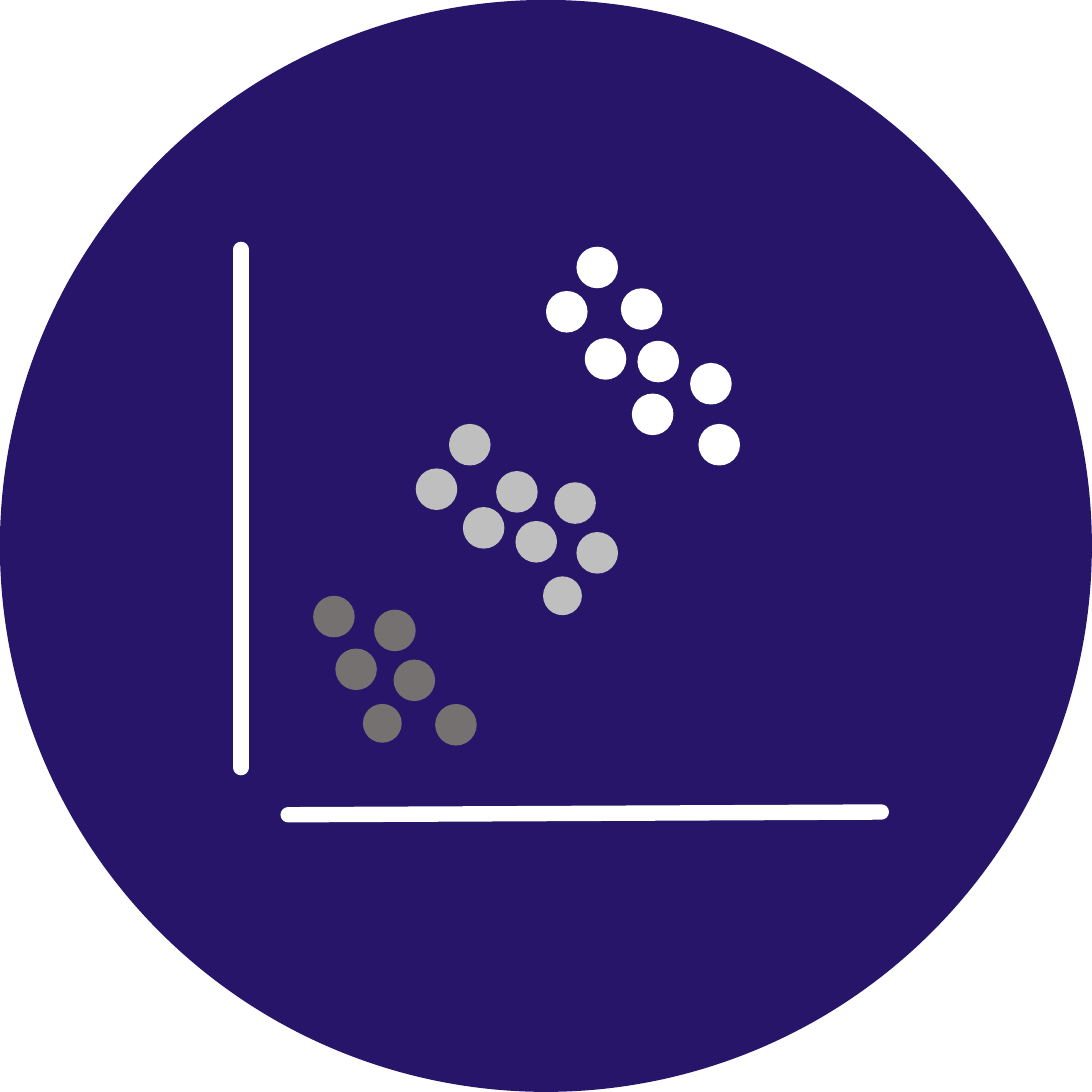
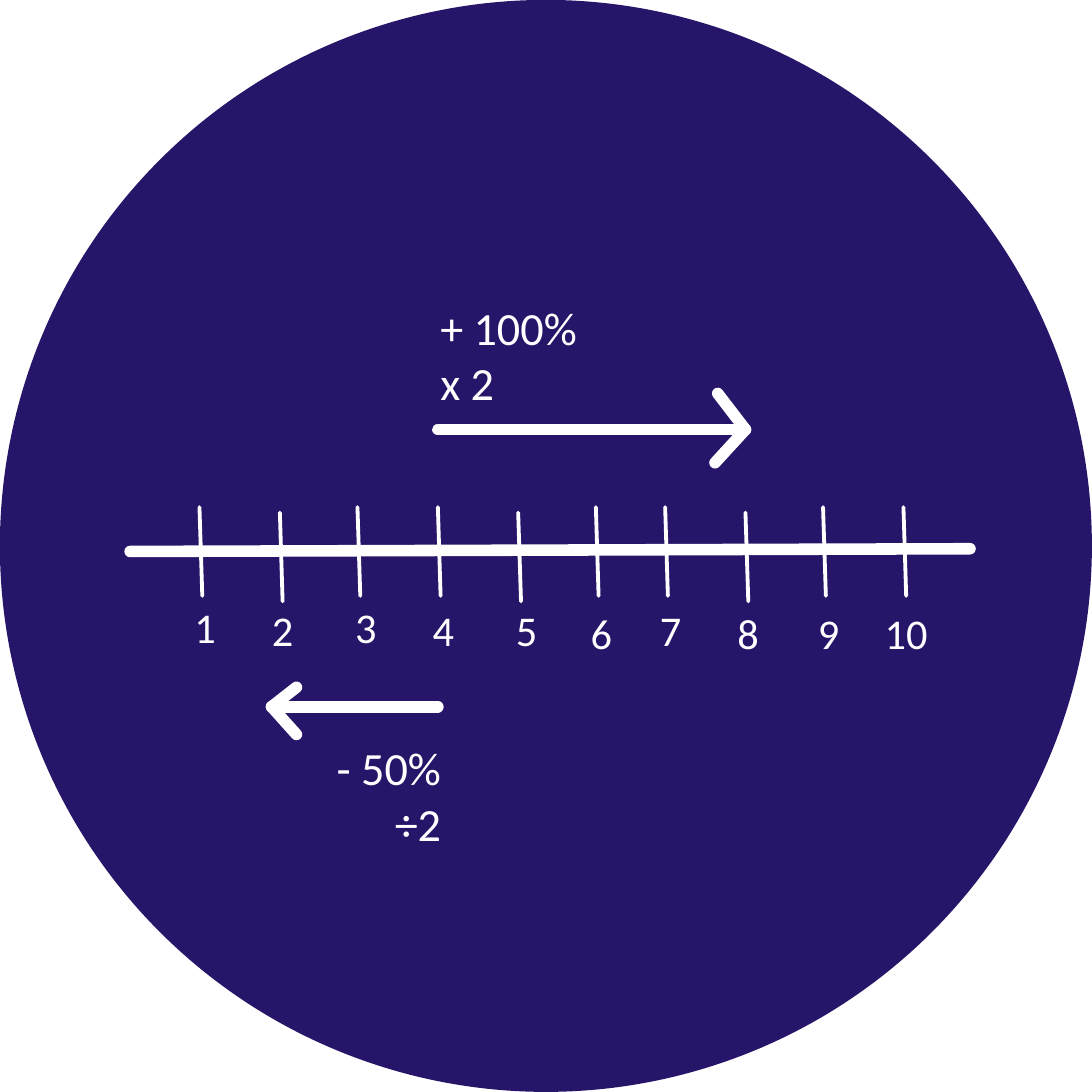
import dataclasses
import pptx
import pptx.dml.color
import pptx.enum.shapes
import pptx.enum.text
import pptx.oxml
import pptx.oxml.ns
import pptx.util

Inches = pptx.util.Inches
Pt = pptx.util.Pt
Align = pptx.enum.text.PP_ALIGN


@dataclasses.dataclass(frozen=True)
class Theme:
    disc: str = "271569"
    white: str = "FFFFFF"
    light_grey: str = "BFBFBF"
    dark_grey: str = "767171"
    font: str = "Calibri"
    number_size: int = 11
    note_size: int = 12
    chart_axis: int = 4
    stroke: int = 3
    tick: int = 1
    side: float = 3.94


class Deck:
    def __init__(self, theme):
        self.theme = theme
        self.presentation = pptx.Presentation()
        self.presentation.slide_width = Inches(theme.side)
        self.presentation.slide_height = Inches(theme.side)
        self.slide = None

    def new_slide(self):
        self.slide = self.presentation.slides.add_slide(self.presentation.slide_layouts[6])
        self.circle(0, 0, self.theme.side, self.theme.disc)

    def circle(self, left, top, diameter, colour):
        circle = self.slide.shapes.add_shape(
            pptx.enum.shapes.MSO_SHAPE.OVAL,
            Inches(left), Inches(top), Inches(diameter), Inches(diameter))
        circle.shadow.inherit = False
        circle.fill.solid()
        circle.fill.fore_color.rgb = pptx.dml.color.RGBColor.from_string(colour)
        circle.line.fill.background()

    def line(self, start, end, width, shapes=None):
        shapes = self.slide.shapes if shapes is None else shapes
        line = shapes.add_connector(
            pptx.enum.shapes.MSO_CONNECTOR.STRAIGHT,
            *(Inches(value) for value in (*start, *end)))
        line.line.width = Pt(width)
        line.line.color.rgb = pptx.dml.color.RGBColor.from_string(self.theme.white)
        properties = line.element.spPr
        properties.find(pptx.oxml.ns.qn("a:ln")).set("cap", "rnd")
        properties.append(pptx.oxml.parse_xml(
            f"<a:effectLst {pptx.oxml.ns.nsdecls('a')}/>"))

    def arrow(self, tail, tip, barbs):
        arrow = self.slide.shapes.add_group_shape()
        for start in (tail, *barbs):
            self.line(start, tip, self.theme.stroke, arrow.shapes)

    def text(self, left, top, width, height, lines, size, align):
        frame = self.slide.shapes.add_textbox(
            Inches(left), Inches(top), Inches(width), Inches(height)).text_frame
        frame.word_wrap = True
        for index, words in enumerate(lines):
            paragraph = frame.paragraphs[0] if index == 0 else frame.add_paragraph()
            paragraph.alignment = align
            run = paragraph.add_run()
            run.text = words
            run.font.name = self.theme.font
            run.font.size = Pt(size)
            run.font.color.rgb = pptx.dml.color.RGBColor.from_string(self.theme.white)


def scatter_slide(deck):
    theme = deck.theme
    deck.new_slide()
    deck.line((0.87, 0.9), (0.87, 2.77), theme.chart_axis)
    deck.line((3.18, 2.93), (1.04, 2.94), theme.chart_axis)
    dot, small_dot = 0.15, 0.14
    clusters = {
        theme.white: [(2.52, 1.53), (2.28, 1.42), (2.49, 1.31), (2.24, 1.04),
                      (2.11, 1.22), (1.97, 1.05), (2.3, 1.23), (2.08, 0.89)],
        theme.light_grey: [(1.62, 1.53), (1.79, 1.7), (1.86, 1.88), (2, 1.74),
                           (1.5, 1.69), (1.67, 1.83), (2.08, 1.92)],
        theme.dark_grey: [(1.13, 2.15), (1.21, 2.34), (1.35, 2.2),
                          (1.57, 2.54), (1.42, 2.38)],
    }
    for colour, points in clusters.items():
        for left, top in points:
            deck.circle(left, top, dot, colour)
    deck.circle(1.96, 2.08, small_dot, theme.light_grey)
    deck.circle(1.31, 2.54, small_dot, theme.dark_grey)


def number_line_slide(deck):
    theme = deck.theme
    deck.new_slide()
    deck.line((3.5, 1.98), (0.47, 1.99), theme.stroke)
    tick_feet = (0.73, 1.02, 1.3, 1.59, 1.88, 2.16, 2.41, 2.7, 2.98, 3.27)
    number_places = ((0.74, 2.12), (1.02, 2.13), (1.32, 2.12), (1.6, 2.13), (1.9, 2.13),
                     (2.17, 2.14), (2.42, 2.13), (2.7, 2.14), (2.99, 2.14), (3.27, 2.14))
    tick_height, tick_lean, number_width = 0.32, 0.01, 0.48
    for number, (foot, (centre, top)) in enumerate(zip(tick_feet, number_places), 1):
        bottom = 2.17 if number % 3 == 2 else 2.15
        deck.line((foot, bottom), (foot - tick_lean, bottom - tick_height), theme.tick)
        deck.text(centre - number_width / 2, top, number_width, 0.29,
                  [str(number)], theme.number_size, Align.CENTER)
    deck.arrow((1.58, 1.55), (2.69, 1.55), [(2.59, 1.42), (2.58, 1.67)])
    deck.text(1.49, 1.03, 0.81, 0.5, ["+ 100%", "x 2"], theme.note_size, Align.LEFT)
    deck.arrow((1.58, 2.55), (0.98, 2.55), [(1.07, 2.65), (1.07, 2.48)])
    deck.text(0.88, 2.62, 0.81, 0.5, ["- 50%", "÷2"], theme.note_size, Align.RIGHT)


deck = Deck(Theme())
scatter_slide(deck)
number_line_slide(deck)
deck.presentation.save("out.pptx")
